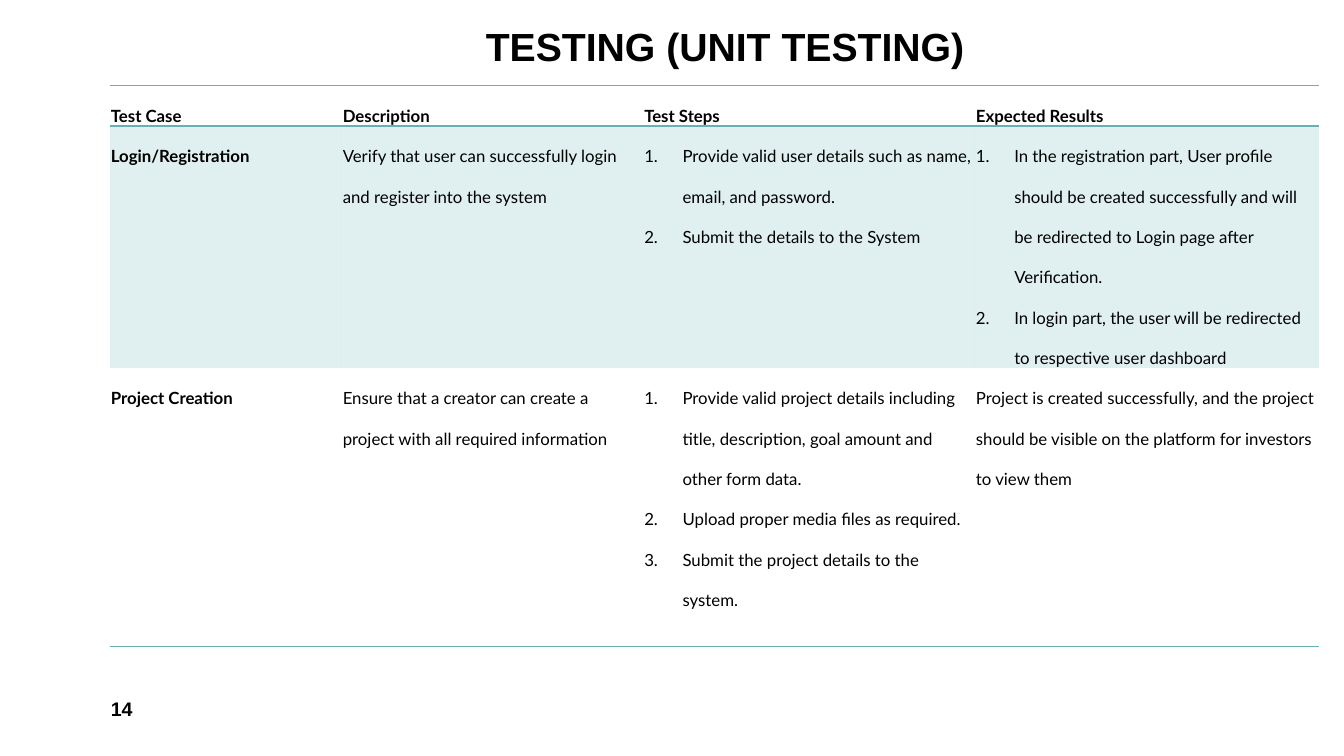
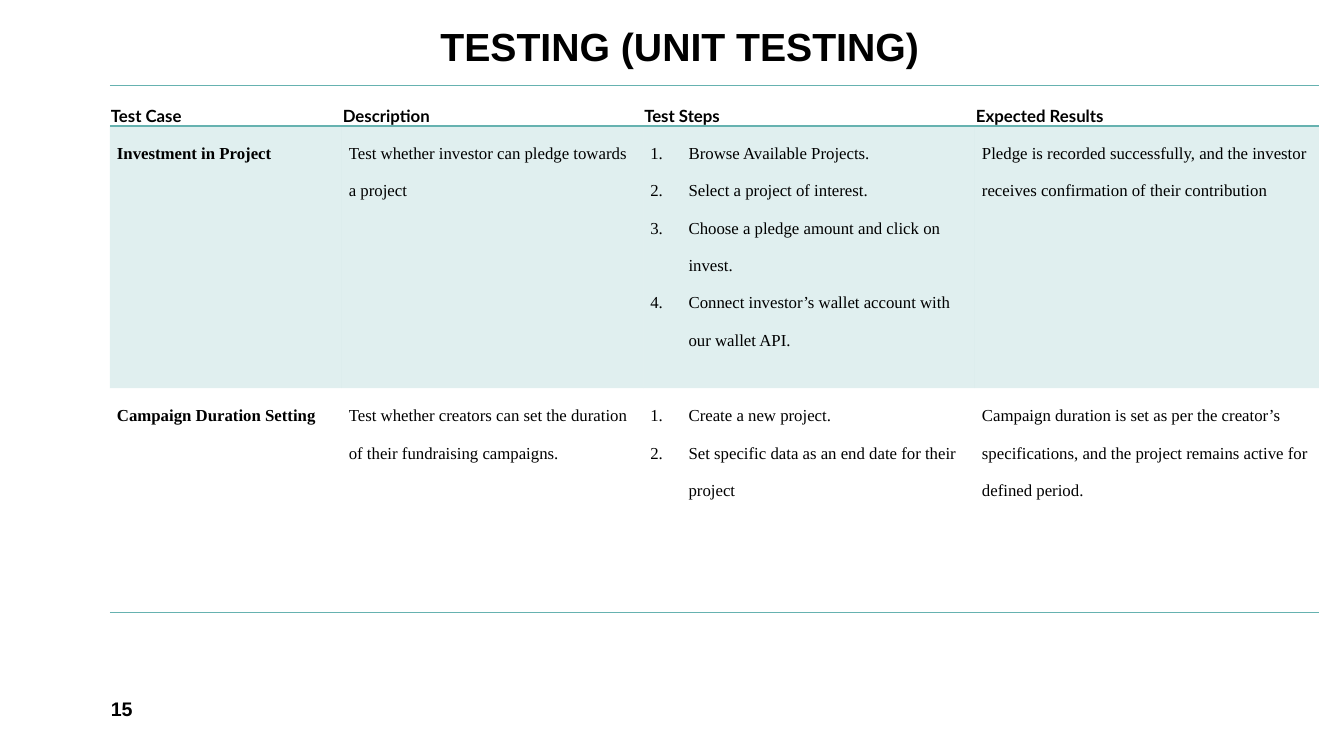
"""Build the two unit testing slides."""
import pptx
import pptx.dml.color
import pptx.enum.text
import pptx.oxml.ns
import pptx.util
from lxml import etree

Inches, Pt = pptx.util.Inches, pptx.util.Pt
RGB = pptx.dml.color.RGBColor.from_string
ANCHOR = pptx.enum.text.MSO_ANCHOR
qn = pptx.oxml.ns.qn

COLORS = {"text": "000000", "teal": "66B2B0"}
TITLE = {"name": "Arial", "size": Pt(28), "bold": True}
NUMBER = {"name": "Arial", "size": Pt(14), "bold": True}
HEADER = {"name": "Lato", "size": Pt(12), "bold": True}
COLS = [2.3, 2.99, 3.29, 3.41]
HEADINGS = ["Test Case", "Description", "Test Steps", "Expected Results"]

SLIDES = [
    {"number": "14", "title_x": 4.72, "font": "Lato", "inset": 0.01, "heights": [0.4, 2.4, 2.76],
     "rows": [
         ["Login/Registration",
          "Verify that user can successfully login and register into the system",
          ["Provide valid user details such as name, email, and password.",
           "Submit the details to the System"],
          ["In the registration part, User profile should be created successfully and will "
           "be redirected to Login page after Verification.",
           "In login part, the user will be redirected to respective user dashboard"]],
         ["Project Creation",
          "Ensure that a creator can create a project with all required information",
          ["Provide valid project details including title, description, goal amount and "
           "other form data.",
           "Upload proper media files as required.",
           "Submit the project details to the system."],
          "Project is created successfully, and the project should be visible on the "
          "platform for investors to view them"]]},
    {"number": "15", "title_x": 4.27, "font": "Times New Roman", "inset": 0.07,
     "heights": [0.4, 2.6, 2.23],
     "rows": [
         ["Investment in Project",
          "Test whether investor can pledge towards a project",
          ["Browse Available Projects.",
           "Select a project of interest.",
           "Choose a pledge amount and click on invest.",
           "Connect investor’s wallet account with our wallet API."],
          "Pledge is recorded successfully, and the investor receives confirmation of "
          "their contribution"],
         ["Campaign Duration Setting",
          "Test whether creators can set the duration of their fundraising campaigns.",
          ["Create a new project.",
           "Set specific data as an end date for their project"],
          "Campaign duration is set as per the creator’s specifications, and the project "
          "remains active for defined period."]]},
]


def write(tf, content, fmt, spacing):
    numbered = isinstance(content, list)
    for i, text in enumerate(content if numbered else [content]):
        p = tf.add_paragraph() if i else tf.paragraphs[0]
        if numbered:
            pPr = p._p.get_or_add_pPr()
            pPr.set("marL", str(Inches(0.38)))
            pPr.set("indent", str(-Inches(0.38)))
            etree.SubElement(pPr, qn("a:buAutoNum"), type="arabicPeriod")
        p.line_spacing = spacing
        r = p.add_run()
        r.text = text
        for key, value in fmt.items():
            setattr(r.font, key, value)
        r.font.color.rgb = RGB(COLORS["text"])


def style_cell(cell, ruled, tinted):
    tcPr = cell._tc.get_or_add_tcPr()
    for side in ("lnL", "lnR", "lnT", "lnB"):
        ln = etree.SubElement(tcPr, qn("a:" + side), w=str(Pt(1)))
        if side in ruled:
            fill = etree.SubElement(ln, qn("a:solidFill"))
            etree.SubElement(fill, qn("a:srgbClr"), val=COLORS["teal"])
        else:
            etree.SubElement(ln, qn("a:noFill"))
    if tinted:
        cell.fill.solid()
        cell.fill.fore_color.rgb = RGB(COLORS["teal"])
        clr = tcPr.find(qn("a:solidFill")).find(qn("a:srgbClr"))
        etree.SubElement(clr, qn("a:alpha"), val="20000")
    else:
        cell.fill.background()


prs = pptx.Presentation()
prs.slide_width, prs.slide_height = Inches(13.33), Inches(7.5)
RULES = [("lnT", "lnB"), ("lnT",), ("lnB",)]

for data in SLIDES:
    s = prs.slides.add_slide(prs.slide_layouts[6])
    x = data["title_x"]
    for text, box, fmt, anchor, spacing in [
        ("TESTING (UNIT TESTING)", (x, 0.08, 12.36 - x, 0.66), TITLE, ANCHOR.BOTTOM, 0.9),
        (data["number"], (1, 6.83, 2.92, 0.4), NUMBER, ANCHOR.MIDDLE, 1.0),
    ]:
        tf = s.shapes.add_textbox(*map(Inches, box)).text_frame
        tf.word_wrap = True
        tf.vertical_anchor = anchor
        write(tf, text, fmt, spacing)

    heights = data["heights"]
    sp = s.shapes.add_table(len(heights), len(COLS), Inches(1.09), Inches(0.85),
                            Inches(sum(COLS)), Inches(sum(heights)))
    table = sp.table
    table.first_row = table.horz_banding = False
    for col, width in zip(table.columns, COLS):
        col.width = Inches(width)
    for i, values in enumerate([HEADINGS] + data["rows"]):
        table.rows[i].height = Inches(heights[i])
        inset = data["inset"] if i else 0.01
        for j, value in enumerate(values):
            cell = table.cell(i, j)
            cell.margin_left = cell.margin_right = Inches(inset)
            cell.margin_top = cell.margin_bottom = 0
            style_cell(cell, RULES[i], i == 1)
            body = {"name": data["font"], "size": Pt(12), "bold": j == 0}
            write(cell.text_frame, value, body if i else HEADER, 2.0)

prs.save("out.pptx")
